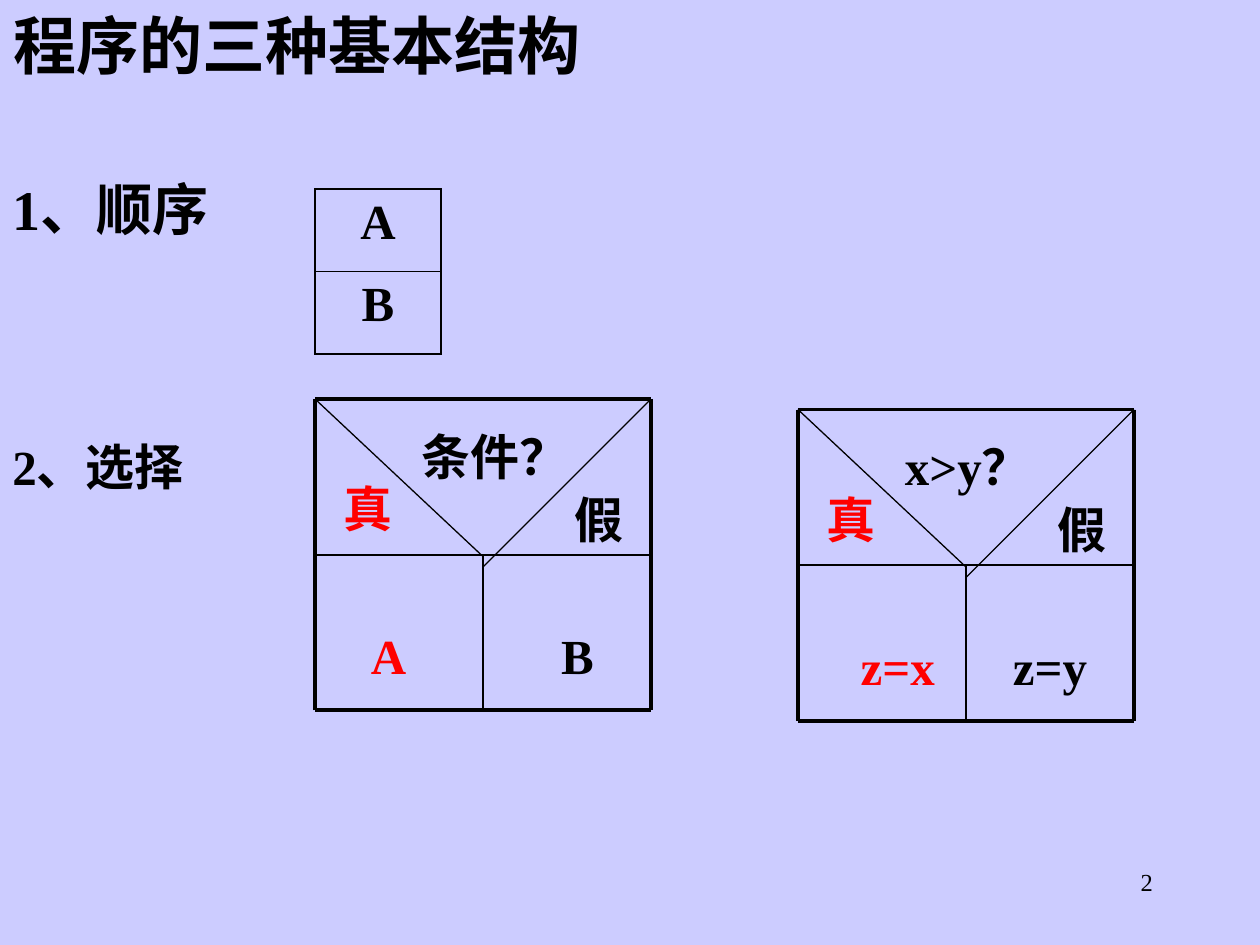
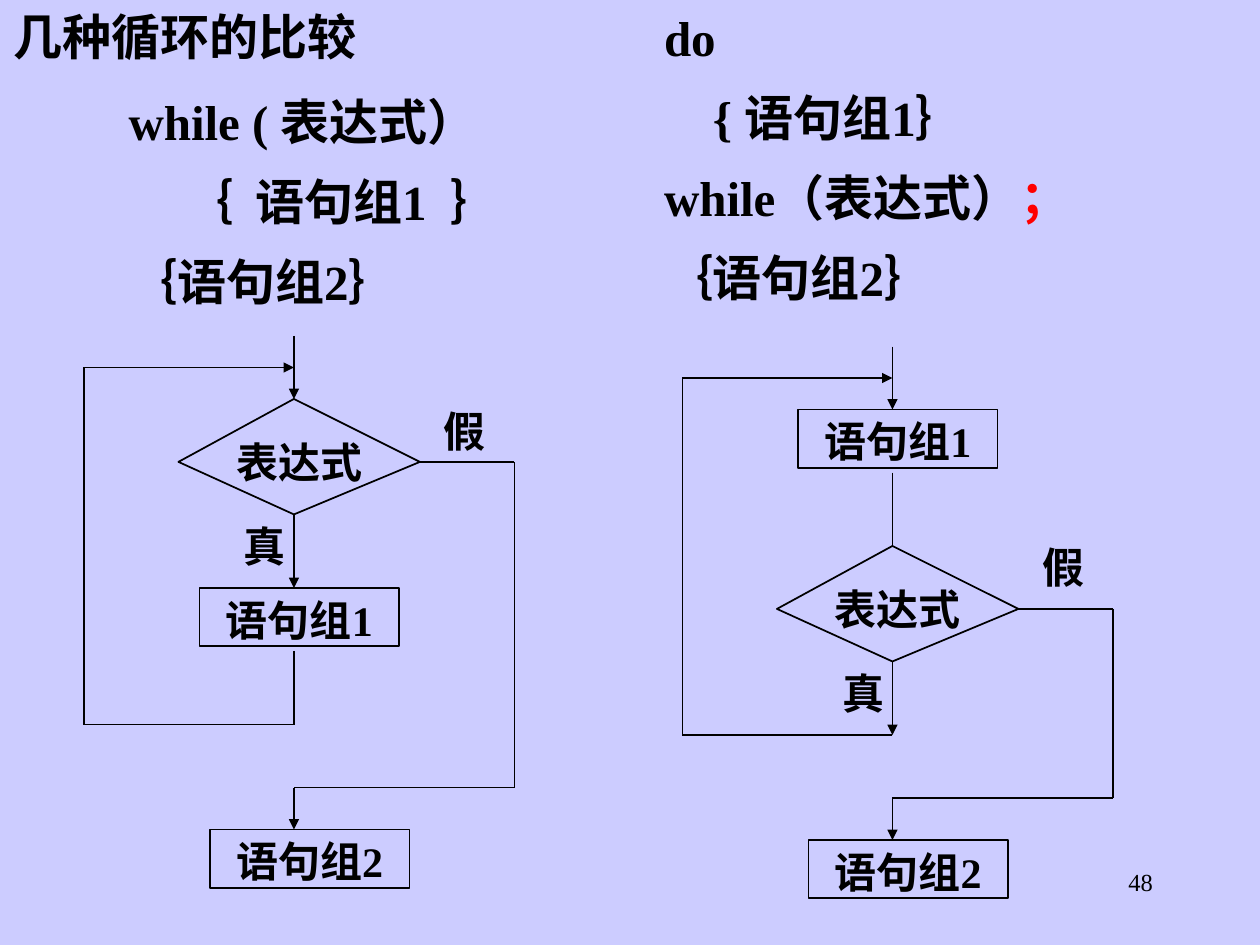
from lxml.etree import SubElement
from pptx import Presentation
from pptx.dml.color import RGBColor
from pptx.enum.shapes import MSO_CONNECTOR, MSO_SHAPE
from pptx.enum.text import MSO_ANCHOR, MSO_AUTO_SIZE, PP_ALIGN
from pptx.oxml.ns import qn
from pptx.util import Inches, Pt

FONT = "Times New Roman"
BLACK, RED, LILAC = "000000", "FF0000", "CCCCFF"
LEFT, CENTER, RIGHT = PP_ALIGN.LEFT, PP_ALIGN.CENTER, PP_ALIGN.RIGHT
UNIT = Inches(10) // 120          # the slide is a grid of 120 columns by 90 rows
WIDE, TIGHT = (0.1, 0.05), (0.02, 0.01)
TITLE_ONLY, TWO_CONTENT = 5, 3


def grid(*counts):
    return [round(n * UNIT) for n in counts]


def color(hex_string):
    return RGBColor.from_string(hex_string)


def place(sp, box):
    sp.left, sp.top, sp.width, sp.height = grid(*box)


def write(tf, paras, size=28, bold=True, fill=BLACK, align=LEFT,
          spacing=None, before=0, bullet_free=False):
    """Each paragraph is a string or a list of (text, colour) runs."""
    for i, runs in enumerate(paras):
        p = tf.paragraphs[0] if i == 0 else tf.add_paragraph()
        if bullet_free:
            pPr = p._p.get_or_add_pPr()
            pPr.set("marL", "0")
            pPr.set("indent", "0")
            SubElement(pPr, qn("a:buNone"))
        p.alignment = align
        p.space_before = Pt(before if i else 0)
        if spacing:
            p.line_spacing = spacing
        for words, hue in [(runs, fill)] if isinstance(runs, str) else runs:
            r = p.add_run()
            r.text = words
            r.font.name, r.font.size, r.font.bold = FONT, Pt(size), bold
            r.font.color.rgb = color(hue)


def fill_frame(sp, paras, inset=WIDE, grow=True, **fmt):
    tf = sp.text_frame
    tf.word_wrap = True
    tf.auto_size = MSO_AUTO_SIZE.SHAPE_TO_FIT_TEXT if grow else MSO_AUTO_SIZE.NONE
    tf.vertical_anchor = MSO_ANCHOR.TOP
    tf.margin_left = tf.margin_right = Inches(inset[0])
    tf.margin_top = tf.margin_bottom = Inches(inset[1])
    write(tf, paras, **fmt)


def add_text(s, box, words, **fmt):
    sp = s.shapes.add_textbox(*grid(*box))
    fill_frame(sp, [words], **fmt)


def add_path(s, points, width=1, arrow=False):
    """Join the points with straight lines; the last may carry an arrowhead."""
    for start, end in zip(points, points[1:]):
        line = s.shapes.add_connector(MSO_CONNECTOR.STRAIGHT, *grid(*start, *end))
        line.line.color.rgb = color(BLACK)
        line.line.width = Pt(width)
        SubElement(line._element.spPr, qn("a:effectLst"))
        if arrow and end == points[-1]:
            SubElement(line.line._get_or_add_ln(), qn("a:tailEnd"), type="triangle")


def outline(sp):
    sp.shadow.inherit = False
    sp.fill.background()
    sp.line.color.rgb = color(BLACK)
    sp.line.width = Pt(1)


def add_slide(prs, layout, title, title_box, title_size, number):
    s = prs.slides.add_slide(prs.slide_layouts[layout])
    place(s.shapes.title, title_box)
    fill_frame(s.shapes.title, [title], size=title_size)
    add_text(s, (86, 82, 25, 6), number, grow=False, size=14, bold=False, align=RIGHT)
    return s


# Sequence: one cell per step
def add_sequence(s, box, steps):
    table = s.shapes.add_table(len(steps), 1, *grid(*box)).table
    table.first_row = table.horz_banding = False
    last = len(steps) - 1
    for i, step in enumerate(steps):
        cell = table.cell(i, 0)
        write(cell.text_frame, [step], align=CENTER)
        tcPr = cell._tc.get_or_add_tcPr()
        thin = {"T": i > 0, "B": i < last}
        for side in "LRTB":
            width = Pt(0.45 if thin.get(side) else 1.08)
            ln = SubElement(tcPr, qn(f"a:ln{side}"), w=str(width))
            SubElement(SubElement(ln, qn("a:solidFill")), qn("a:srgbClr"), val=BLACK)
        cell.fill.background()


# Selection: condition above, two branches below
def add_selection(s, box, condition, yes, no, yes_width, no_left, no_width):
    x, y, w, h = box
    right, bottom, mid_x, mid_y = x + w, y + h, x + w / 2, y + h / 2
    add_path(s, [(x, y), (right, y), (right, bottom), (x, bottom), (x, y)], 2.25)
    add_path(s, [(x, mid_y), (right, mid_y)])
    add_path(s, [(mid_x, mid_y), (mid_x, bottom)])
    add_path(s, [(right, y), (mid_x, y + 16)], 0.75)
    add_path(s, [(x, y), (mid_x, y + 15)], 0.75)
    for words, dx, dy, width, hue, align in [
            (condition, 9, 2, 21, BLACK, LEFT),
            ("真", 1, 7, 8, RED, CENTER),
            ("假", 23, 8, 8, BLACK, CENTER),
            (yes, 3, 21, yes_width, RED, CENTER),
            (no, no_left, 21, no_width, BLACK, CENTER)]:
        add_text(s, (x + dx, y + dy, width, 6.8), words, fill=hue, align=align)


# Loop flowchart: rows are counted from its top, columns from its main axis
def add_loop(s, axis, top, body_row, test_row, false_row):
    label = dict(inset=TIGHT, size=24, spacing=1.1)

    def at(*points):
        return [(axis + dx, top + dy) for dx, dy in points]

    def step(dx, dy, words):
        sp = s.shapes.add_shape(MSO_SHAPE.RECTANGLE,
                                *grid(axis + dx, top + dy, 19, 5.55))
        outline(sp)
        fill_frame(sp, [words], align=CENTER, **label)

    # Test diamond and its labels
    side, end = test_row + 6, test_row + 11
    corners = [grid(*pt) for pt in at((0, test_row), (12, side), (0, end), (-11, side))]
    builder = s.shapes.build_freeform(*corners[0])
    builder.add_line_segments(corners[1:], close=True)
    outline(builder.convert_to_shape())
    for words, dx, dy, width, align in [("表达式", -7, test_row + 3, 15, CENTER),
                                        ("真", -5, end, 6, LEFT),
                                        ("假", 14, false_row, 10, LEFT)]:
        add_text(s, (axis + dx, top + dy, width, 5.55), words, align=align, **label)

    # Statement boxes
    step(-9, body_row, "语句组1")
    step(-8, 47, "语句组2")

    # Flow lines: entry, test to next, body to next, way back, way out
    add_path(s, at((0, 0), (0, 6)), arrow=True)
    add_path(s, at((0, end), (0, test_row + 18)), arrow=True)
    add_path(s, at((0, body_row + 6), (0, body_row + 13)))
    add_path(s, at((0, 37), (-20, 37), (-20, 3), (0, 3)), arrow=True)
    add_path(s, at((12, side), (21, side), (21, 43), (0, 43), (0, 47)), arrow=True)


def build_structures(prs):
    s = add_slide(prs, TITLE_ONLY, "程序的三种基本结构", (0.1, 0, 62, 8.4), 36, "2")
    add_text(s, (0, 16, 25, 7.7), "1、顺序", size=32)
    add_sequence(s, (30, 18, 12, 15.7), ["A", "B"])
    add_text(s, (0, 41, 21, 6.8), "2、选择")
    add_selection(s, (30, 38, 32, 29.65), "条件？", "A", "B", 8, 21, 8)
    add_selection(s, (76, 39, 32, 29.65), "x>y？", "z=x", "z=y", 13, 19, 10)


def build_loops(prs):
    s = add_slide(prs, TWO_CONTENT, "几种循环的比较", (0.1, 0, 40, 6.8), 28, "48")
    code = {
        1: ((12, 8, 41.4, 21.7),
            ["while ( 表达式）", "     ｛  语句组1  ｝", "｛语句组2｝"]),
        2: ((63, 0, 42, 29.3),
            ["do", "    { 语句组1｝",
             [("while（表达式）", BLACK), ("；", RED)], "｛语句组2｝"]),
    }
    for idx, (box, lines) in code.items():
        sp = s.placeholders[idx]
        place(sp, box)
        fill_frame(sp, lines, inset=TIGHT, spacing=1.1, before=8.8, bullet_free=True)
    add_loop(s, 28, 32, body_row=24, test_row=6, false_row=6)
    add_loop(s, 85, 33, body_row=6, test_row=19, false_row=18)


def main():
    prs = Presentation()
    prs.slide_width, prs.slide_height = Inches(10), Inches(7.5)
    background = prs.slide_master.background.fill
    background.solid()
    background.fore_color.rgb = color(LILAC)
    build_structures(prs)
    build_loops(prs)
    prs.save("out.pptx")


if __name__ == "__main__":
    main()
